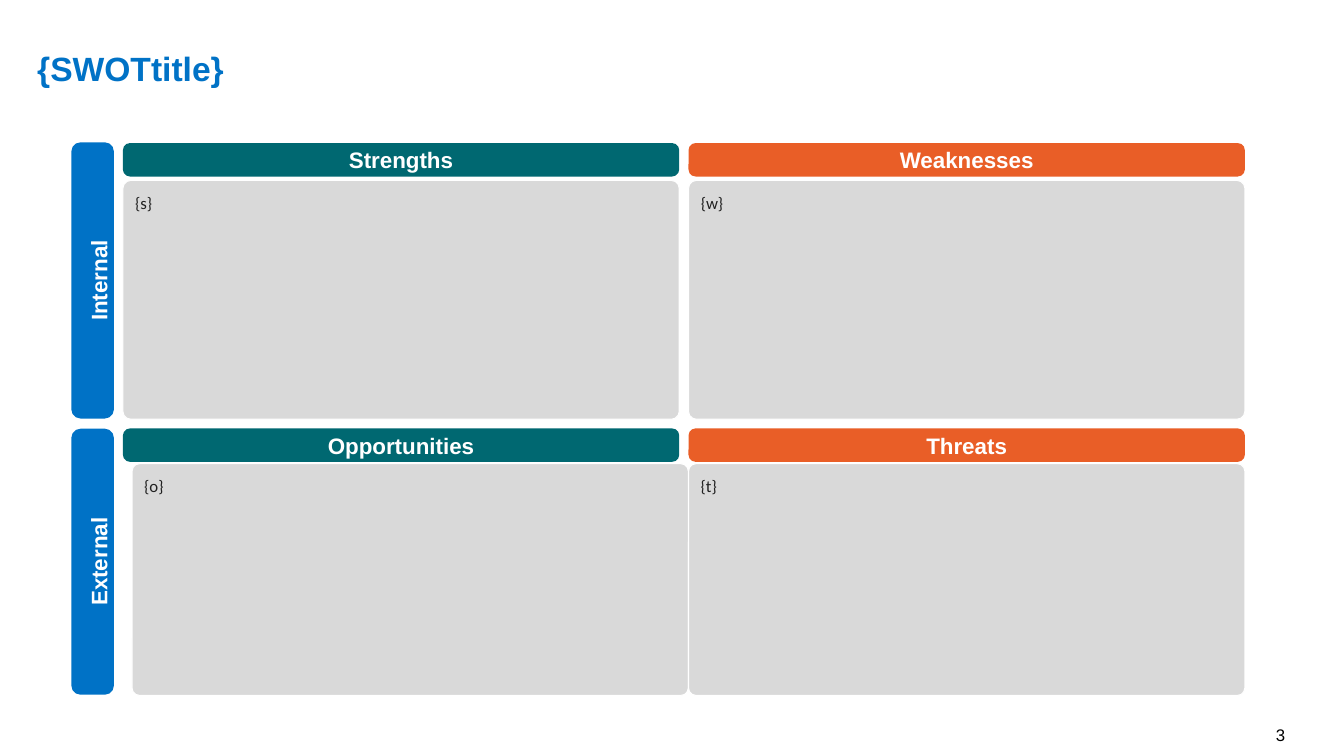
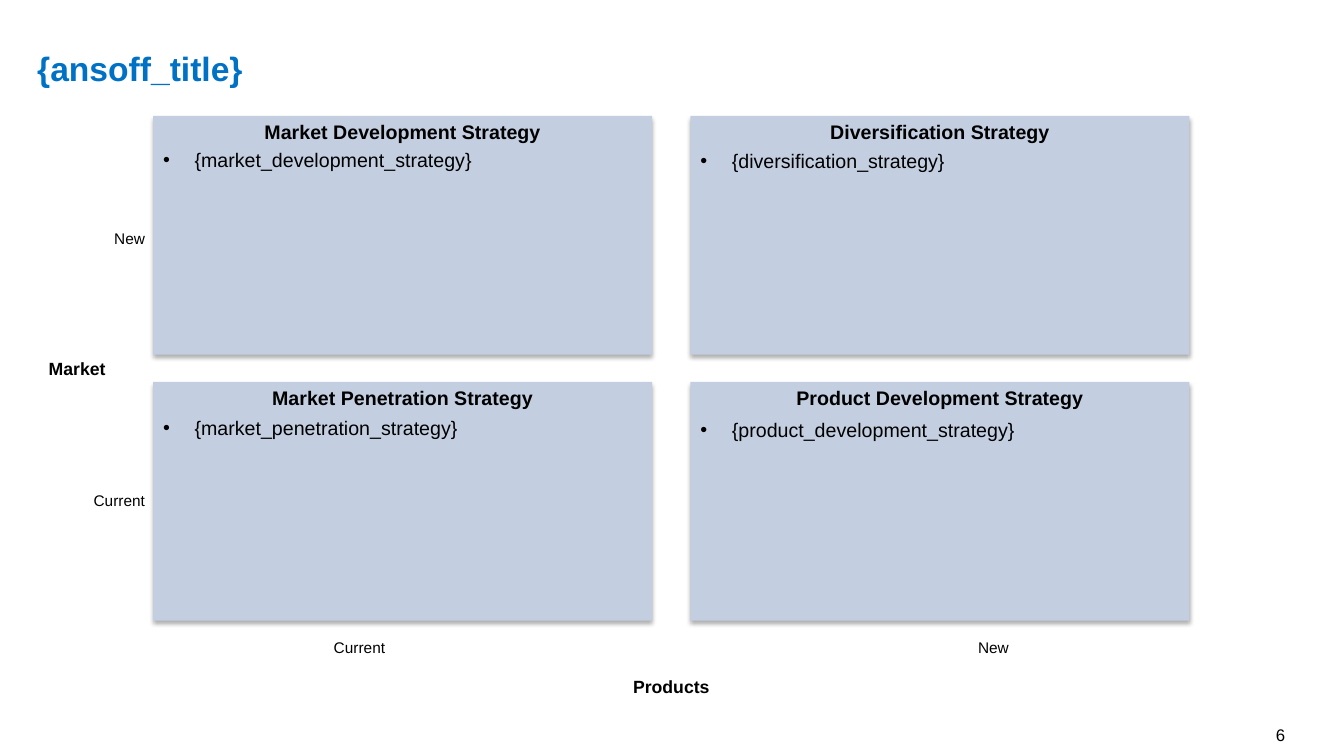
import lxml.etree
import pptx
import pptx.dml.color
import pptx.enum.shapes
import pptx.enum.text
import pptx.oxml.ns
import pptx.util

Pt = pptx.util.Pt
ALIGN = pptx.enum.text.PP_ALIGN
ANCHOR = pptx.enum.text.MSO_ANCHOR
SHAPES = pptx.enum.shapes.MSO_SHAPE
qn = pptx.oxml.ns.qn

BLUE, TEAL, ORANGE = "0072C6", "006871", "E95E27"
GREY, PALE_BLUE = "D9D9D9", "C3CFE1"
BLACK, INK, WHITE = "000000", "212121", "FFFFFF"
LABEL_INSETS = (5.8, 2.9, 5.8, 2.9)
BAR_INSETS = (0, 7.9, 0, 7.9)


def color(hex_string):
    return pptx.dml.color.RGBColor.from_string(hex_string)


# Text
def write_text(shape, text, size, hex_color=BLACK, font="Arial", bold=False,
               align=ALIGN.LEFT, anchor=ANCHOR.TOP,
               insets=(7.2, 3.6, 7.2, 3.6), wrap=True, bullet=False):
    frame = shape.text_frame
    frame.word_wrap = wrap
    frame.vertical_anchor = anchor
    (frame.margin_left, frame.margin_top,
     frame.margin_right, frame.margin_bottom) = map(Pt, insets)
    paragraph = frame.paragraphs[0]
    paragraph.alignment = align
    if bullet:
        add_bullet(paragraph)
    run = paragraph.add_run()
    run.text = text
    run.font.name = font
    run.font.size = Pt(size)
    run.font.bold = bold
    run.font.color.rgb = color(hex_color)
    return paragraph


def add_bullet(paragraph, indent=22.5):
    properties = paragraph._p.get_or_add_pPr()
    properties.set("marL", str(Pt(indent)))
    properties.set("indent", str(-Pt(indent)))
    font = lxml.etree.SubElement(properties, qn("a:buFont"))
    font.set("typeface", "Arial")
    lxml.etree.SubElement(properties, qn("a:buChar")).set("char", "•")


def add_text(slide, box, text, size, **style):
    shape = slide.shapes.add_textbox(*map(Pt, box))
    return write_text(shape, text, size, **style)


def add_label(slide, box, text, size=11, **style):
    add_text(slide, box, text, size, anchor=ANCHOR.MIDDLE,
             insets=LABEL_INSETS, wrap=False, **style)


# Shapes
def add_block(slide, kind, box, fill, line=None, radius=None):
    shape = slide.shapes.add_shape(kind, *map(Pt, box))
    shape.shadow.inherit = False
    shape.fill.solid()
    shape.fill.fore_color.rgb = color(fill)
    if line:
        shape.line.color.rgb = color(line)
        shape.line.width = Pt(0.75)
    else:
        shape.line.fill.background()
    if radius is not None:
        shape.adjustments[0] = radius
    return shape


def add_bar(slide, box, text, fill, anchor=ANCHOR.MIDDLE):
    shape = add_block(slide, SHAPES.ROUNDED_RECTANGLE, box, fill, radius=0.213)
    write_text(shape, text, 16, WHITE, bold=True, align=ALIGN.CENTER,
               anchor=anchor, insets=BAR_INSETS, wrap=False)
    return shape


def add_side_bar(slide, center_x, center_y, length, text):
    thickness = 30.4
    box = (center_x - length / 2, center_y - thickness / 2, length, thickness)
    add_bar(slide, box, text, BLUE, ANCHOR.TOP).rotation = 270


def add_panel(slide, box, text):
    shape = add_block(slide, SHAPES.ROUNDED_RECTANGLE, box, GREY, WHITE, 0.033)
    write_text(shape, text, 12, INK, "Calibri", insets=(7.2,) * 4)


def add_soft_shadow(shape):
    effects = shape._element.spPr.find(qn("a:effectLst"))
    shadow = lxml.etree.SubElement(effects, qn("a:outerShdw"))
    for name, value in (("blurRad", Pt(3.5)), ("dist", Pt(2.2)),
                        ("dir", 90 * 60000), ("rotWithShape", 0)):
        shadow.set(name, str(int(value)))
    tint = lxml.etree.SubElement(shadow, qn("a:srgbClr"))
    tint.set("val", BLACK)
    lxml.etree.SubElement(tint, qn("a:alpha")).set("val", "32000")


def add_strategy(slide, left, top, heading, body, body_offset):
    width, height = 356.4, 170.6
    shape = add_block(slide, SHAPES.RECTANGLE, (left, top, width, height),
                      PALE_BLUE)
    add_soft_shadow(shape)
    write_text(shape, heading, 14, bold=True, align=ALIGN.CENTER,
               insets=LABEL_INSETS)
    add_text(slide, (left, top + body_offset, 340, height - body_offset),
             body, 14, bullet=True)


# Slides
def add_slide(presentation, title, number):
    slide = presentation.slides.add_slide(presentation.slide_layouts[6])
    paragraph = add_text(slide, (26.6, 0, 907, 72), title, 24, hex_color=BLUE,
                         bold=True, anchor=ANCHOR.BOTTOM,
                         insets=(0, 3.6, 7.2, 8.6))
    paragraph.line_spacing = 0.9
    add_text(slide, (895.7, 514, 38, 21.6), number, 12, align=ALIGN.CENTER,
             anchor=ANCHOR.MIDDLE, wrap=False)
    return slide


def build_swot(presentation):
    slide = add_slide(presentation, "{SWOTtitle}", "3")
    columns, width = (87.8, 491.8), 397.4
    # Each row: side label, its centre and length, header top, panel top, height
    rows = (
        ("Internal", 200.3, 197.3, 102.2, 128.9, 170.6,
         (("Strengths", "{s}", 0), ("Weaknesses", "{w}", 0))),
        ("External", 401.2, 190, 306, 331.2, 165.6,
         (("Opportunities", "{o}", 6.5), ("Threats", "{t}", 0))),
    )
    for side, center, length, header_top, panel_top, height, cells in rows:
        add_side_bar(slide, 66.2, center, length, side)
        for left, fill, (header, body, shift) in zip(
                columns, (TEAL, ORANGE), cells):
            add_panel(slide, (left + shift, panel_top, width, height), body)
            add_bar(slide, (left, header_top, width, 23.9), header, fill)


def build_ansoff(presentation):
    slide = add_slide(presentation, "{ansoff_title}", "6")
    left, right, top, bottom = 109.4, 493.2, 82.8, 272.8
    strategies = (
        (left, top, "Market Development Strategy",
         "{market_development_strategy}", 19.4),
        (right, top, "Diversification Strategy",
         "{diversification_strategy}", 20.2),
        (left, bottom, "Market Penetration Strategy",
         "{market_penetration_strategy}", 21),
        (right, bottom, "Product Development Strategy",
         "{product_development_strategy}", 22.4),
    )
    for strategy in strategies:
        add_strategy(slide, *strategy)

    # Axis values
    for x, y, text, align in (
            (232.6, 444.2, "Current", ALIGN.LEFT),
            (616.3, 444.2, "New", ALIGN.RIGHT),
            (-0.7, 152.6, "New", ALIGN.RIGHT),
            (-0.7, 339.1, "Current", ALIGN.RIGHT)):
        add_label(slide, (x, y, 110.2, 36), text, align=align)

    # Axis names
    for box, text in (((0, 245.5, 110.2, 36), "Market"),
                      ((360.7, 472.3, 237.6, 36), "Products")):
        add_label(slide, box, text, 12.6, bold=True, align=ALIGN.CENTER)


def main():
    presentation = pptx.Presentation()
    presentation.slide_width = Pt(960)
    presentation.slide_height = Pt(540)
    build_swot(presentation)
    build_ansoff(presentation)
    presentation.save("out.pptx")


if __name__ == "__main__":
    main()
